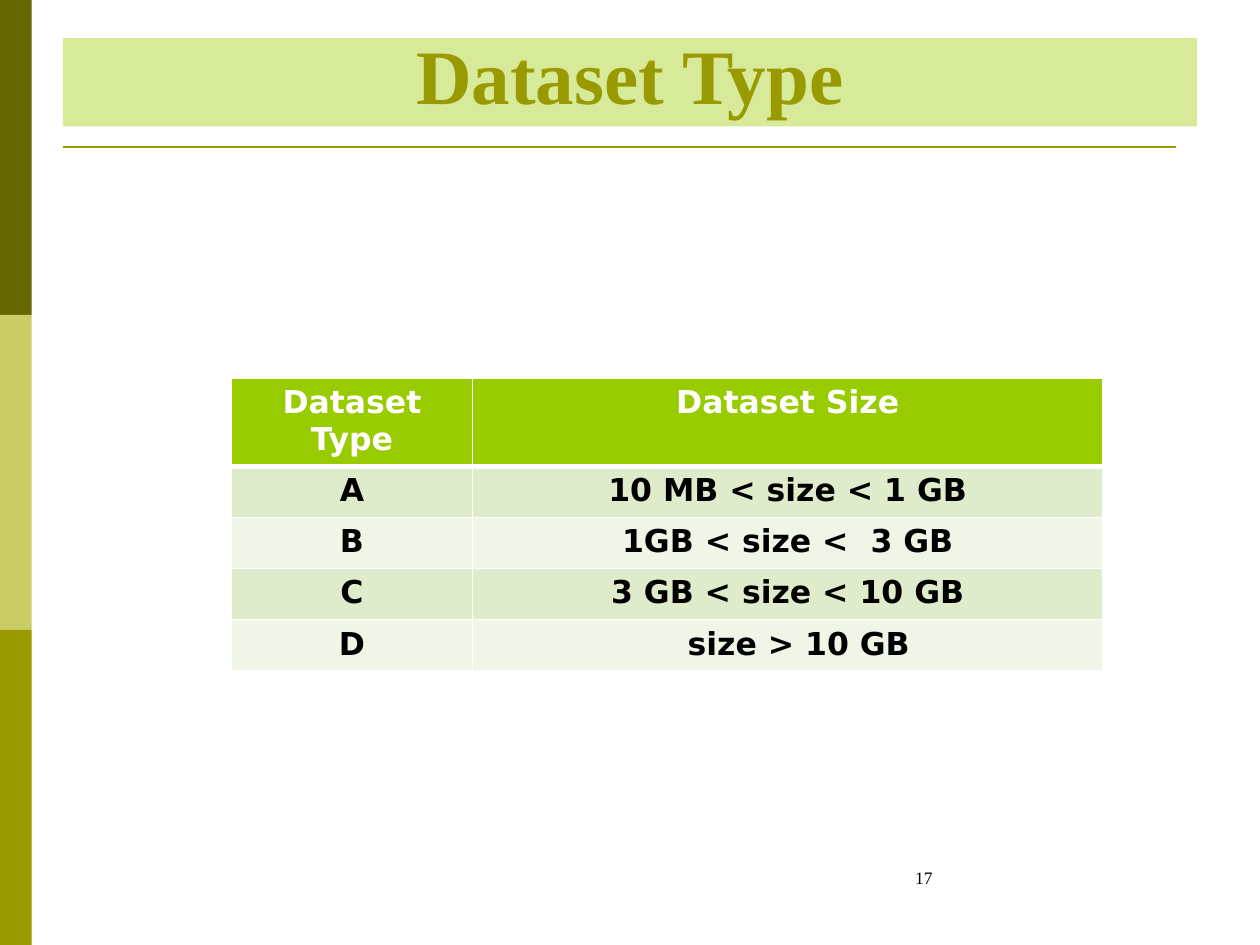
from lxml.etree import SubElement
from pptx import Presentation
from pptx.dml.color import RGBColor
from pptx.enum.shapes import MSO_CONNECTOR, MSO_SHAPE
from pptx.enum.text import MSO_ANCHOR, PP_ALIGN
from pptx.oxml.ns import qn
from pptx.util import Cm, Pt

COLORS = {
    "dark olive": "666600",
    "pale olive": "CCCC66",
    "olive": "999900",
    "lime": "99CC00",
    "odd row": "DEECCC",
    "even row": "EFF6E7",
    "white": "FFFFFF",
    "black": "000000",
}
ROWS = [
    ("Dataset Type", "Dataset Size"),
    ("A", "10 MB < size < 1 GB"),
    ("B", "1GB < size <  3 GB"),
    ("C", "3 GB < size < 10 GB"),
    ("D", "size > 10 GB"),
]


def color(name):
    return RGBColor.from_string(COLORS[name])


def write_text(frame, text, font, size, ink="black", bold=False, align=PP_ALIGN.LEFT):
    frame.word_wrap = True
    paragraph = frame.paragraphs[0]
    paragraph.alignment = align
    run = paragraph.add_run()
    run.text = text
    run.font.name = font
    run.font.size = Pt(size)
    run.font.bold = bold
    run.font.color.rgb = color(ink)


class SlideBuilder:
    serif = "Times New Roman"
    sans = "DejaVu Sans"

    def __init__(self, slide):
        self.slide = slide

    def rectangle(self, left, top, width, height, fill, opacity=100):
        shape = self.slide.shapes.add_shape(
            MSO_SHAPE.RECTANGLE, Cm(left), Cm(top), Cm(width), Cm(height))
        shape.shadow.inherit = False
        shape.line.fill.background()
        shape.fill.solid()
        shape.fill.fore_color.rgb = color(fill)
        if opacity < 100:
            tint = shape._element.spPr.find(qn("a:solidFill"))[0]
            SubElement(tint, qn("a:alpha"), val=str(opacity * 1000))
        return shape

    def title(self, text, *box):
        shape = self.rectangle(*box, "lime", opacity=40)
        shape.text_frame.vertical_anchor = MSO_ANCHOR.BOTTOM
        write_text(shape.text_frame, text, self.serif, 44, "olive", True, PP_ALIGN.CENTER)

    def rule(self, left, right, top):
        line = self.slide.shapes.add_connector(
            MSO_CONNECTOR.STRAIGHT, Cm(left), Cm(top), Cm(right), Cm(top))
        line.line.color.rgb = color("olive")
        line.line.width = Pt(1.5)
        SubElement(line._element.spPr, qn("a:effectLst"))

    def page_number(self, text, left, top, width, height):
        box = self.slide.shapes.add_textbox(Cm(left), Cm(top), Cm(width), Cm(height))
        write_text(box.text_frame, text, self.serif, 10)

    def cell(self, cell, text, fill, ink, bottom_border):
        cell.fill.solid()
        cell.fill.fore_color.rgb = color(fill)
        write_text(cell.text_frame, text, self.sans, 18, ink, True, PP_ALIGN.CENTER)
        properties = cell._tc.get_or_add_tcPr()
        borders = {"lnL": 1, "lnR": 1, "lnT": 1, "lnB": bottom_border}
        for position, (side, points) in enumerate(borders.items()):
            border = properties.makeelement(qn(f"a:{side}"), {"w": str(Pt(points))})
            paint = SubElement(border, qn("a:solidFill"))
            SubElement(paint, qn("a:srgbClr"), val=COLORS["white"])
            properties.insert(position, border)

    def table(self, rows, left, top, column_widths, row_height):
        table = self.slide.shapes.add_table(
            len(rows), len(column_widths), Cm(left), Cm(top),
            Cm(sum(column_widths)), Cm(row_height * len(rows))).table
        for column, width in zip(table.columns, column_widths):
            column.width = Cm(width)
        for row_index, texts in enumerate(rows):
            header = row_index == 0
            band = "odd row" if row_index % 2 else "even row"
            for column_index, text in enumerate(texts):
                self.cell(table.cell(row_index, column_index), text,
                          fill="lime" if header else band,
                          ink="white" if header else "black",
                          bottom_border=3 if header else 1)
        return table


def main():
    presentation = Presentation()
    presentation.slide_width = Cm(25.4)
    presentation.slide_height = Cm(19.05)
    builder = SlideBuilder(presentation.slides.add_slide(presentation.slide_layouts[6]))

    band_height = 19.05 / 3
    for index, fill in enumerate(("dark olive", "pale olive", "olive")):
        builder.rectangle(0, index * band_height, 0.64, band_height, fill)
    builder.rule(1.27, 23.7, 2.96)
    builder.title("Dataset Type", 1.27, 0.77, 22.86, 1.78)
    builder.page_number("17", 18.2, 17.36, 5.93, 1.27)
    table = builder.table(ROWS, 4.66, 7.62, (4.87, 12.7), 1.03)
    table.cell(len(ROWS) - 1, 1).margin_left = Cm(0.7)
    presentation.save("out.pptx")


if __name__ == "__main__":
    main()
